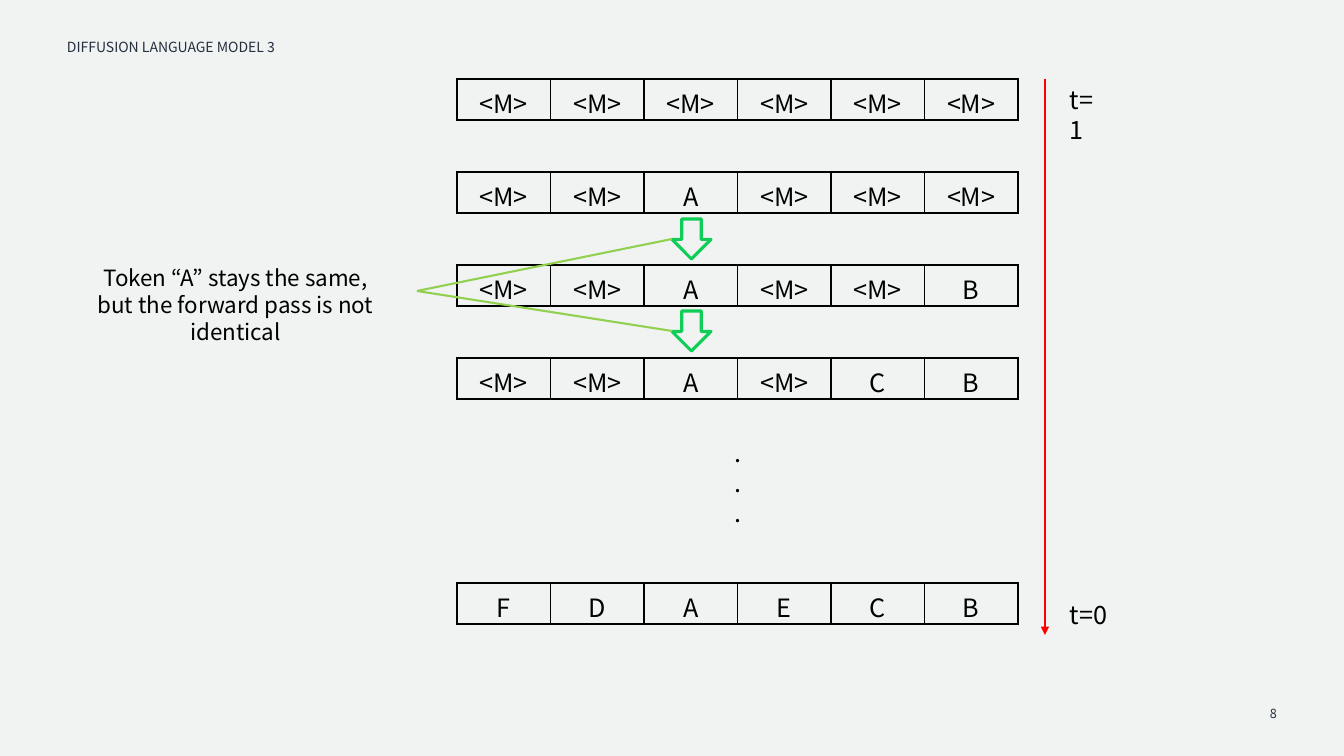
import pptx
import pptx.dml.color
import pptx.enum.shapes
import pptx.enum.text
import pptx.oxml
import pptx.oxml.ns
import pptx.util

FONT = "Noto Sans CJK KR"
PAPER, INK, BLACK = "F1F3F3", "232F3E", "000000"
RED, GREEN, LIME = "FF0000", "10CD57", "92D050"
TITLE = "DIFFUSION LANGUAGE MODEL 3"
NOTE = ["Token “A” stays the same,", "but the forward pass is not identical"]
M = "<M>"
# top, bottom cell margin, tokens
STEPS = [
    (79, 5, [M, M, M, M, M, M]),
    (172, 5, [M, M, "A", M, M, M]),
    (265, 5, [M, M, "A", M, M, "B"]),
    (358, 0, [M, M, "A", M, "C", "B"]),
    (583, 0, ["F", "D", "A", "E", "C", "B"]),
]
GRID_X, GRID_W, ROW_H = 457, 561, 41
TIME_X, TIME_TOP, TIME_END = 1045, 79, 635
DROP_X, DROP_W, DROP_H = 672, 39, 40
DROPS = [219, 311]

ALIGN = pptx.enum.text.PP_ALIGN
KIND = pptx.enum.shapes.MSO_SHAPE
STRAIGHT = pptx.enum.shapes.MSO_CONNECTOR.STRAIGHT
MIDDLE = pptx.enum.text.MSO_ANCHOR.MIDDLE


def px(n):
    return pptx.util.Emu(round(n * 914400 / 100.8))


def color(text):
    return pptx.dml.color.RGBColor.from_string(text)


def style(par, size, ink=BLACK, align=ALIGN.LEFT):
    par.alignment = align
    par.font.size = pptx.util.Pt(size)
    par.font.name = FONT
    par.font.color.rgb = color(ink)


def inset(frame, left, top, right, bottom):
    frame.margin_left, frame.margin_top = px(left), px(top)
    frame.margin_right, frame.margin_bottom = px(right), px(bottom)


def label(slide, box, lines, size, ink=BLACK, align=ALIGN.LEFT):
    shape = slide.shapes.add_textbox(*map(px, box))
    frame = shape.text_frame
    frame.word_wrap = True
    inset(frame, 0, 5, 0, 5)
    frame.text = "\n".join(lines)
    for par in frame.paragraphs:
        style(par, size, ink, align)
    return shape


def border(cell):
    """Draw a 1 pt black line on all four sides of a cell."""
    props = cell._tc.get_or_add_tcPr()
    for at, side in enumerate(("lnL", "lnR", "lnT", "lnB")):
        props.insert(at, pptx.oxml.parse_xml(
            f'<a:{side} {pptx.oxml.ns.nsdecls("a")} w="12700"><a:solidFill>'
            f'<a:srgbClr val="{BLACK}"/></a:solidFill></a:{side}>'))


def tokens(slide, top, foot, words):
    box = map(px, (GRID_X, top, GRID_W, ROW_H))
    table = slide.shapes.add_table(1, len(words), *box).table
    table.first_row = table.horz_banding = False
    for cell, word in zip(table.iter_cells(), words):
        cell.text = word
        cell.fill.background()
        inset(cell, 10, 5, 10, foot)
        style(cell.text_frame.paragraphs[0], 18, align=ALIGN.CENTER)
        border(cell)


def line(slide, ends, ink):
    link = slide.shapes.add_connector(STRAIGHT, *map(px, ends))
    link.line.color.rgb = color(ink)
    link.line.width = pptx.util.Pt(1.5)
    link._element.spPr.append(pptx.oxml.parse_xml(
        f'<a:effectLst {pptx.oxml.ns.nsdecls("a")}/>'))
    return link


def head(slide):
    title = slide.shapes.title
    title.left, title.top, title.width, title.height = map(px, (67, 35, 1210, 26))
    title.fill.solid()
    title.fill.fore_color.rgb = color(PAPER)
    frame = title.text_frame
    frame.text = TITLE
    frame.vertical_anchor = pptx.enum.text.MSO_ANCHOR.TOP
    inset(frame, 0, 5, 10, 5)
    par = frame.paragraphs[0]
    par.line_spacing = 0.9
    par.space_after = pptx.util.Pt(9)
    style(par, 10, INK)


def time(slide):
    axis = line(slide, (TIME_X, TIME_TOP, TIME_X, TIME_END), RED)
    axis.line._get_or_add_ln().append(pptx.oxml.parse_xml(
        f'<a:tailEnd {pptx.oxml.ns.nsdecls("a")} type="triangle"/>'))
    label(slide, (1070, TIME_TOP, 35, 41), ["t=1"], 18)
    label(slide, (1070, 594, 39, 41), ["t=0"], 18)


def drop(slide, top, note):
    """Add a down arrow and the line that leads to it from the note."""
    arrow = slide.shapes.add_shape(
        KIND.DOWN_ARROW, *map(px, (DROP_X, top, DROP_W, DROP_H)))
    arrow.shadow.inherit = False
    arrow.fill.background()
    arrow.line.color.rgb = color(GREEN)
    arrow.line.width = pptx.util.Pt(2.25)
    link = line(slide, (417, 291, DROP_X, top + DROP_H / 2), LIME)
    link.begin_connect(note, 3)
    link.end_connect(arrow, 1)


def main():
    deck = pptx.Presentation()
    deck.slide_width, deck.slide_height = px(1344), px(756)
    slide = deck.slides.add_slide(deck.slide_layouts.get_by_name("Title Only"))
    slide.background.fill.solid()
    slide.background.fill.fore_color.rgb = color(PAPER)
    head(slide)
    page = label(slide, (985, 693, 292, 41), ["8"], 9, INK, ALIGN.RIGHT)
    page.text_frame.vertical_anchor = MIDDLE
    for step in STEPS:
        tokens(slide, *step)
    time(slide)
    label(slide, (734, 432, 6, 102), ["."] * 3, 18)
    note = label(slide, (54, 259, 363, 64), NOTE, 16, align=ALIGN.CENTER)
    for top in DROPS:
        drop(slide, top, note)
    deck.save("out.pptx")


if __name__ == "__main__":
    main()
